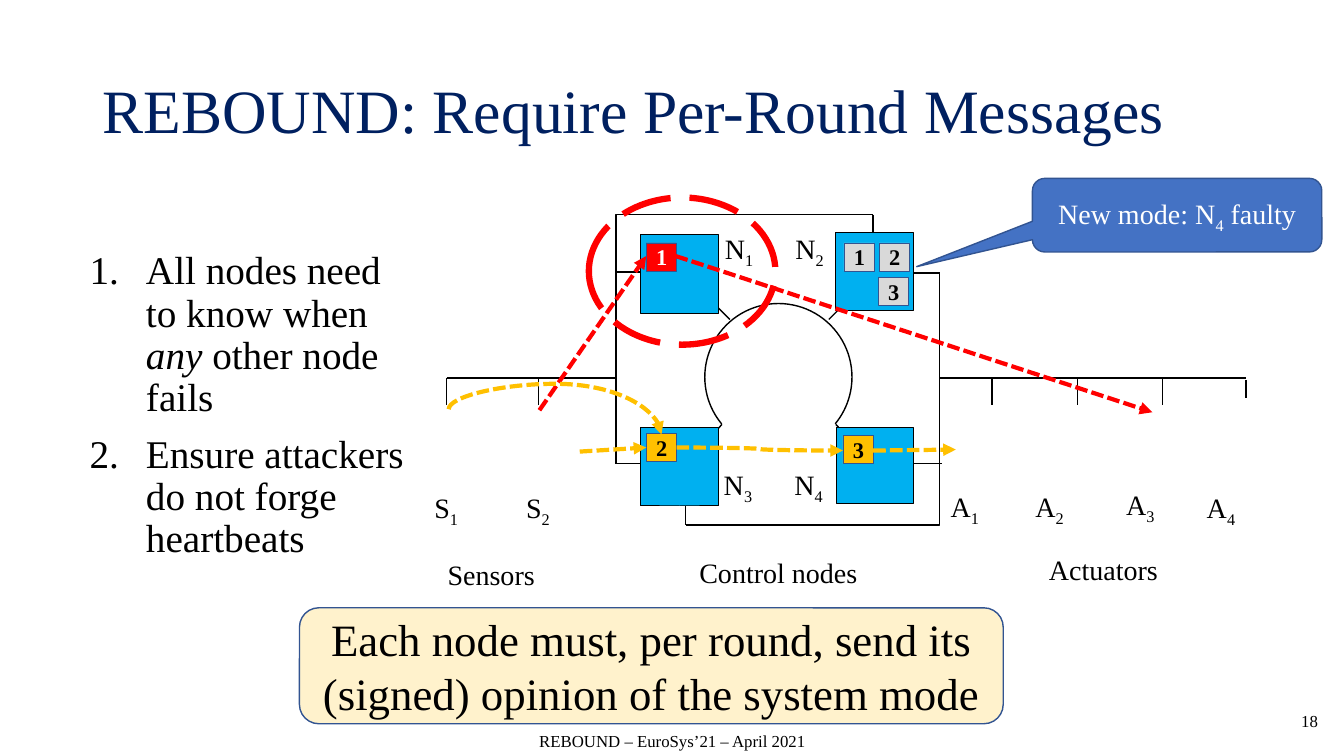
from lxml import etree
from pptx import Presentation
from pptx.dml.color import RGBColor
from pptx.enum.dml import MSO_LINE as Dash
from pptx.enum.shapes import MSO_CONNECTOR as Conn, MSO_SHAPE as Kind
from pptx.enum.text import MSO_ANCHOR as Anchor, PP_ALIGN as Align
from pptx.oxml.ns import qn
from pptx.util import Inches, Pt

FONT = "Times New Roman"
BLACK = RGBColor(0, 0, 0)
WHITE = RGBColor(255, 255, 255)
NAVY = RGBColor(0x00, 0x20, 0x60)
SKY = RGBColor(0x00, 0xB0, 0xF0)
RED = RGBColor(0xFF, 0, 0)
GOLD = RGBColor(0xFF, 0xC0, 0)
GREY = RGBColor(0xD9, 0xD9, 0xD9)
BLUE = RGBColor(0x44, 0x72, 0xC4)
EDGE = RGBColor(0x32, 0x54, 0x91)
CREAM = RGBColor(0xFF, 0xF2, 0xCC)


def write(frame, text, size=20, color=BLACK, bold=None, align=Align.LEFT,
          anchor=Anchor.TOP, leading=None, gap=0, number=False):
    """Fill a frame, one paragraph a line; |digits| are subscripts, |words| italics."""
    frame.word_wrap = True
    frame.vertical_anchor = anchor
    for i, line in enumerate(text.split("\n")):
        para = frame.add_paragraph() if i else frame.paragraphs[0]
        para.alignment = align
        if leading:
            para.line_spacing = leading
        if i:
            para.space_before = Pt(gap)
        if number:
            props = para._p.get_or_add_pPr()
            props.set("marL", str(Inches(0.56)))
            props.set("indent", str(-Inches(0.56)))
            etree.SubElement(props, qn("a:buAutoNum"), type="arabicPeriod")
        for j, part in enumerate(line.split("|")):
            if not part:
                continue
            run = para.add_run()
            run.text = part
            font = run.font
            font.name, font.size, font.bold = FONT, Pt(size), bold
            font.color.rgb = color
            if j % 2 and part.isdigit():
                run._r.get_or_add_rPr().set("baseline", "-25000")
            elif j % 2:
                font.italic = True


def label(slide, text, x, y, w, h=0.51, **style):
    box = slide.shapes.add_textbox(Inches(x), Inches(y), Inches(w), Inches(h))
    write(box.text_frame, text, **style)


def paint(shape, fill, edge, width):
    shape.shadow.inherit = False
    if fill is None:
        shape.fill.background()
    else:
        shape.fill.solid()
        shape.fill.fore_color.rgb = fill
    shape.line.color.rgb = edge
    shape.line.width = Pt(width)


def block(slide, kind, x, y, w, h, fill=None, edge=EDGE, width=1.0, text="", **style):
    shape = slide.shapes.add_shape(kind, Inches(x), Inches(y), Inches(w), Inches(h))
    paint(shape, fill, edge, width)
    if text:
        write(shape.text_frame, text, align=Align.CENTER, anchor=Anchor.MIDDLE, **style)
    return shape


def wire(slide, x1, y1, x2, y2, color=BLACK, width=1.0, kind=Conn.STRAIGHT, flow=False):
    """Draw a line; a flow is dashed and ends in an arrowhead."""
    line = slide.shapes.add_connector(kind, *map(Inches, (x1, y1, x2, y2)))
    line.line.color.rgb = color
    line.line.width = Pt(width)
    if flow:
        line.line.dash_style = Dash.SQUARE_DOT
        etree.SubElement(line.line._get_or_add_ln(), qn("a:tailEnd"), type="triangle")
    etree.SubElement(line._element.spPr, qn("a:effectLst"))
    return line


def bend(slide, *points):
    """Draw an open line through the points."""
    spots = [(Inches(x), Inches(y)) for x, y in points]
    path = slide.shapes.build_freeform(*spots[0])
    path.add_line_segments(spots[1:], close=False)
    paint(path.convert_to_shape(), None, BLACK, 1)


def badge(slide, digit, x, y, fill, color=BLACK):
    block(slide, Kind.RECTANGLE, x, y, 0.3, 0.28, fill, width=0.25,
          text=digit, size=16, color=color, bold=True)


def head(slide, x, y, w, h):
    title = slide.shapes.title
    title.left, title.top, title.width, title.height = map(Inches, (x, y, w, h))
    write(title.text_frame, "REBOUND: Require Per-Round Messages", size=44,
          color=NAVY, anchor=Anchor.MIDDLE, leading=0.9)


def points(slide, x, y, w, h):
    label(slide, "All nodes need to know when |any| other node fails\n"
          "Ensure attackers do not forge heartbeats", x, y, w, h,
          size=28, leading=0.9, gap=10, number=True)


def foot(slide, y, h):
    label(slide, "REBOUND – EuroSys’21 – April 2021", 5.22, y, 2.9, h,
          size=12, align=Align.CENTER, anchor=Anchor.MIDDLE)
    label(slide, "18", 10.17, y - 0.2, 3, h, size=12, align=Align.RIGHT,
          anchor=Anchor.MIDDLE)


def sensors(slide, x, y):
    """Place the sensor bus, its left end at x, y."""
    wire(slide, x, y, x + 1.68, y)
    for i in range(2):
        left = x + 0.91 * i
        wire(slide, left, y, left, y + 0.27)
        label(slide, f"S|{i + 1}|", left - 0.22, y + 1.07, 0.73)
    label(slide, "Sensors", x - 0.09, y + 1.73, 1.65)


def actuators(slide, x, y):
    """Place the actuator bus, its left end at x, y."""
    wire(slide, x, y, x + 3.04, y)
    drops = ((0.52, 0, 0.27), (1.37, 0, 0.27), (2.21, 0, 0.27), (3.04, 0.02, 0.2))
    for dx, top, end in drops:
        wire(slide, x + dx, y + top, x + dx, y + end)
    for i, (dx, dy) in enumerate(((0.01, 1.06), (0.85, 1.06), (1.75, 1.04), (2.55, 1.07))):
        label(slide, f"A|{i + 1}|", x + dx, y + dy, 0.78)
    label(slide, "Actuators", x + 0.64, y + 1.68, 1.97, align=Align.CENTER)


def control(slide, x, y):
    """Place the four nodes and their wiring, the top left corner at x, y."""
    bend(slide, (x, y + 2.47), (x, y), (x + 2.55, y))
    bend(slide, (x + 3.21, y + 0.57), (x + 3.21, y + 3.08), (x + 0.69, y + 3.08))
    ring = block(slide, Kind.ARC, x + 0.88, y + 0.88, 1.46, 1.46, edge=BLACK)
    ring.rotation = 195
    ring.adjustments[0], ring.adjustments[1] = 183.27, 122.66
    for x1, y1, x2, y2 in (
            (0, 0.57, 0.35, 0.57), (0, 2.47, 0.35, 2.47), (2.55, 0, 2.55, 0.26),
            (0.93, 0.84, 1.13, 1.04), (2.18, 2.08, 2.31, 2.22),
            (0.93, 2.22, 1.05, 2.08), (2.31, 0.84, 2.11, 1.04),
            (2.86, 0.58, 3.21, 0.58), (0.69, 2.81, 0.69, 3.08),
            (2.89, 2.47, 3.23, 2.47)):
        wire(slide, x + x1, y + y1, x + x2, y + y2)
    nodes = ((0.24, 0.2, 0.78, 0.98, 0.12), (2.18, 0.18, 0.77, 1.68, 0.12),
             (0.24, 2.11, 0.78, 0.97, 2.46), (2.19, 2.11, 0.76, 1.67, 2.46))
    for i, (dx, dy, side, tx, ty) in enumerate(nodes):
        block(slide, Kind.RECTANGLE, x + dx, y + dy, side, side, SKY, BLACK, 0.75)
        label(slide, f"N|{i + 1}|", x + tx, y + ty, 0.8)
    label(slide, "Control nodes", x + 0.27, y + 3.33, 2.68, align=Align.CENTER)


def flows(slide, x, y):
    """Place badges and message flows over the control nodes at x, y."""
    badge(slide, "1", x + 0.3, y + 0.28, RED, WHITE)
    badge(slide, "2", x + 0.3, y + 2.17, GOLD)
    badge(slide, "3", x + 2.25, y + 2.19, GOLD)
    for x1, y1, x2, y2, color in (
            (-0.76, 1.94, 0.3, 0.41, RED), (0.59, 0.41, 5.32, 1.96, RED),
            (-0.36, 2.35, 0.3, 2.31, GOLD), (2.55, 2.34, 3.37, 2.33, GOLD)):
        wire(slide, x + x1, y + y1, x + x2, y + y2, color, 3, flow=True)
    wire(slide, x + 0.6, y + 2.31, x + 2.25, y + 2.34, GOLD, 3, Conn.CURVE, True)
    arch = wire(slide, x - 0.48, y + 1, x - 0.73, y + 3.11, GOLD, 3, Conn.CURVE, True)
    arch._element.spPr.find(qn("a:xfrm")).set("rot", str(270 * 60000))
    geom = arch._element.spPr.find(qn("a:prstGeom"))
    etree.SubElement(geom.find(qn("a:avLst")), qn("a:gd"), name="adj1", fmla="val -101000")
    for digit, dx, dy in (("2", 2.61, 0.28), ("3", 2.6, 0.62), ("1", 2.26, 0.28)):
        badge(slide, digit, x + dx, y + dy, GREY)
    halo = block(slide, Kind.OVAL, x - 0.27, y - 0.17, 1.85, 1.46, edge=RED, width=4.5)
    halo.line.dash_style = Dash.LONG_DASH


def notes(slide):
    """Place the callout and the conclusion."""
    call = block(slide, Kind.ROUNDED_RECTANGULAR_CALLOUT, 10.24, 1.77, 2.87, 0.73, BLUE,
                 text="New mode: N|4| faulty", color=WHITE)
    call.adjustments[0], call.adjustments[1] = -0.9, 0.7
    block(slide, Kind.ROUNDED_RECTANGLE, 2.97, 6.03, 6.98, 1.15, CREAM, size=32,
          text="Each node must, per round, send its (signed) opinion of the system mode")


def main():
    deck = Presentation()
    deck.slide_width, deck.slide_height = Inches(13.33), Inches(7.5)
    slide = deck.slides.add_slide(deck.slide_layouts[5])
    head(slide, 0.92, 0.4, 11.5, 1.45)
    points(slide, 0.79, 2.44, 3.44, 3.32)
    foot(slide, 7.15, 0.4)
    sensors(slide, 4.43, 3.75)
    actuators(slide, 9.32, 3.75)
    control(slide, 6.11, 2.13)
    flows(slide, 6.11, 2.13)
    notes(slide)
    deck.save("out.pptx")


if __name__ == "__main__":
    main()
